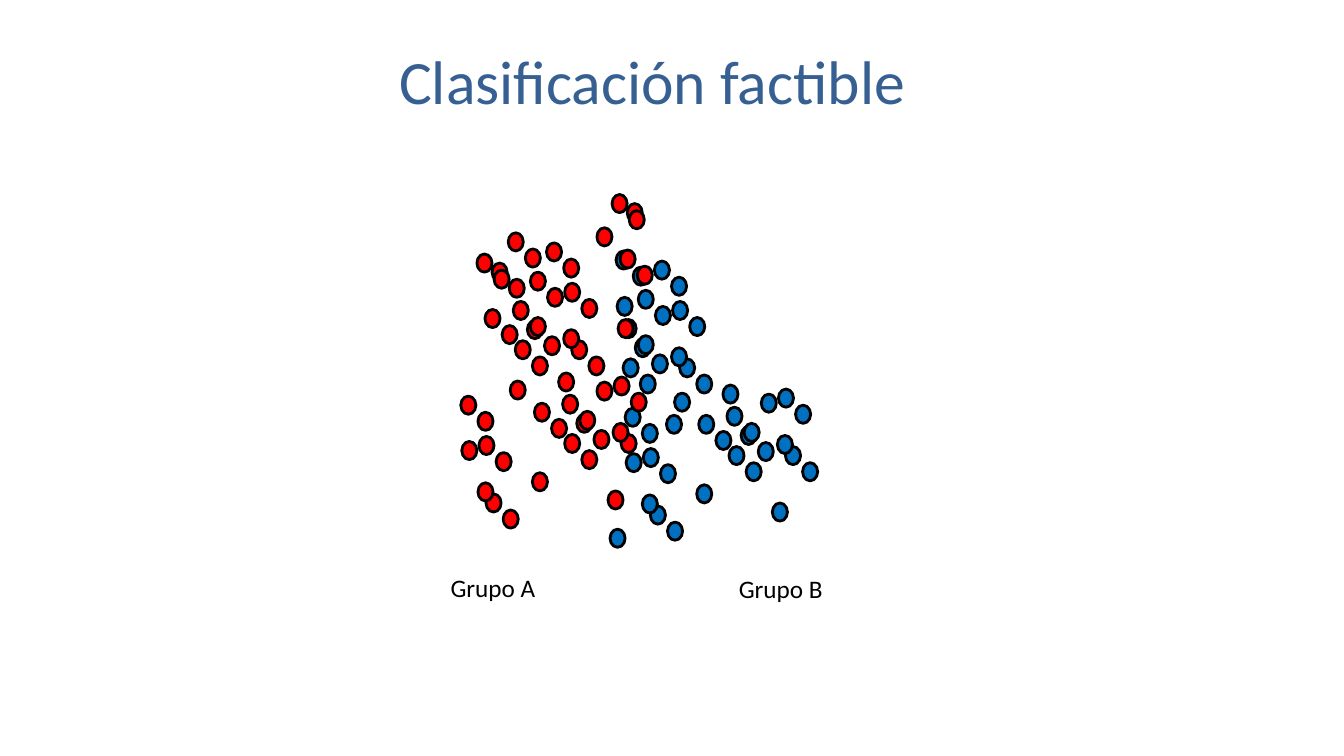
"""Builds a slide with two groups of points, each grown from one shared motif."""
from dataclasses import dataclass

from pptx import Presentation
from pptx import util as u
from pptx.dml.color import RGBColor
from pptx.enum import shapes, text


@dataclass(frozen=True)
class Theme:
    font: str = "Calibri"
    heading: str = "376092"
    ink: str = "000000"
    group_a: str = "FF0000"
    group_b: str = "0070C0"
    title_size: int = 44
    label_size: int = 18
    outline: int = 2


def write(frame, content, *, font, size, color, align=text.PP_ALIGN.LEFT,
          anchor=text.MSO_ANCHOR.TOP, fit=text.MSO_AUTO_SIZE.NONE):
    frame.word_wrap = True
    frame.auto_size = fit
    frame.vertical_anchor = anchor
    paragraph = frame.paragraphs[0]
    paragraph.alignment = align
    run = paragraph.add_run()
    run.text = content
    run.font.name = font
    run.font.size = u.Pt(size)
    run.font.color.rgb = RGBColor.from_string(color)


def shift(position, offset):
    return position[0] + offset[0], position[1] + offset[1]


MOTIF = {
    "a": (0.15, 0.3), "b": (0.31, 0), "c": (0, 0.21), "d": (0.53, 0.39),
    "e": (0.5, 0.87), "f": (0.87, 0.5), "g": (0.36, 0.68), "h": (0.69, 0.8),
    "i": (0.69, 0.1), "j": (0.08, 0.76), "k": (0.38, 1.07), "l": (0.94, 1.07),
}
ECHO_STEP = (0.17, 0.16)


class Board:
    def __init__(self, slide, theme):
        self.slide = slide
        self.theme = theme

    def title(self, content, left, top, width, height):
        heading = self.slide.shapes.title
        heading.left, heading.top = u.Inches(left), u.Inches(top)
        heading.width, heading.height = u.Inches(width), u.Inches(height)
        write(heading.text_frame, content, font=self.theme.font,
              size=self.theme.title_size, color=self.theme.heading,
              align=text.PP_ALIGN.CENTER, anchor=text.MSO_ANCHOR.MIDDLE)

    def label(self, content, left, top, width=2.07, height=0.4):
        caption = self.slide.shapes.add_textbox(
            u.Inches(left), u.Inches(top), u.Inches(width), u.Inches(height))
        write(caption.text_frame, content, font=self.theme.font,
              size=self.theme.label_size, color=self.theme.ink,
              fit=text.MSO_AUTO_SIZE.SHAPE_TO_FIT_TEXT)

    def point(self, position, color, width=0.15, height=0.18):
        left, top = position
        dot = self.slide.shapes.add_shape(
            shapes.MSO_SHAPE.OVAL, u.Inches(left), u.Inches(top),
            u.Inches(width), u.Inches(height))
        dot.shadow.inherit = False
        dot.fill.solid()
        dot.fill.fore_color.rgb = RGBColor.from_string(color)
        dot.line.color.rgb = RGBColor.from_string(self.theme.ink)
        dot.line.width = u.Pt(self.theme.outline)

    def cluster(self, origin, members, echoes, color):
        """Draws the named motif points, then those repeated one step away."""
        echo_origin = shift(origin, ECHO_STEP)
        for start, names in ((origin, members), (echo_origin, echoes)):
            for name in names:
                self.point(shift(start, MOTIF[name]), color)

    def strays(self, positions, color, offset=(0, 0)):
        for position in positions:
            self.point(shift(position, offset), color)

    def lower_half(self, color, offset=(0, 0)):
        """Draws the lower clusters, which both groups share."""
        self.cluster(shift(LOWER_LEFT, offset), "fil", "dfhil", color)
        self.cluster(shift(LOWER_RIGHT, offset), "efgjkl", "adefghjk", color)
        self.strays(LOWER_STRAYS, color, offset)


UPPER = (4.73, 2.31)
CREST = (6.07, 1.72)
LOWER_LEFT = (3.88, 3.83)
LOWER_RIGHT = (5.22, 3.24)
LOWER_STRAYS = [(5.06, 3.78), (5.28, 4.69), (6.03, 4.87)]
A_STRAYS = [(5.92, 2.26), (6.13, 3.17)]
B_STRAYS = [(6.61, 4.12), (7.96, 4.59), (6.05, 5.25)]
UPPER_A_TO_B = (1.07, 0.18)
LOWER_A_TO_B = (1.63, 0.12)

deck = Presentation()
deck.slide_width, deck.slide_height = u.Inches(13.33), u.Inches(7.5)
theme = Theme()
board = Board(deck.slides.add_slide(deck.slide_layouts[5]), theme)

board.title("Clasificación factible", 0.72, 0.07, 11.5, 1.45)

board.cluster(shift(UPPER, UPPER_A_TO_B), "bdefgikl", "abdefghikl", theme.group_b)
board.lower_half(theme.group_b, LOWER_A_TO_B)
board.strays(B_STRAYS, theme.group_b)

board.cluster(UPPER, "abcdefgijkl", "abcdefghijkl", theme.group_a)
board.cluster(CREST, "acj", "cj", theme.group_a)
board.lower_half(theme.group_a)
board.strays(A_STRAYS, theme.group_a)

board.label("Grupo A", 4.37, 5.63)
board.label("Grupo B", 7.23, 5.64)

deck.save("out.pptx")
